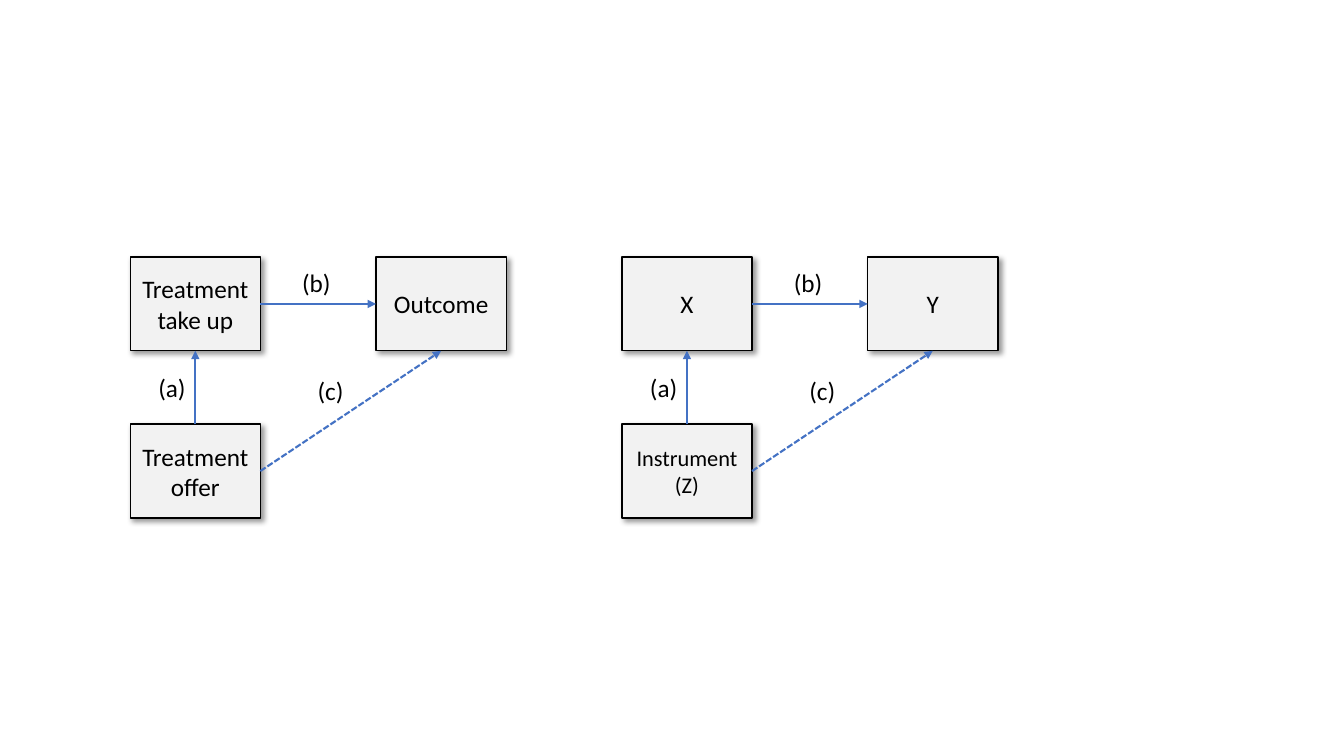
"""Draw two instrumental-variable path diagrams side by side."""
from dataclasses import dataclass

from lxml.etree import SubElement
from pptx import Presentation
from pptx.dml.color import RGBColor as RGB
from pptx.enum.dml import MSO_LINE
from pptx.enum.shapes import MSO_CONNECTOR as CONN, MSO_SHAPE as SHAPE
from pptx.enum.text import MSO_ANCHOR as ANCHOR, MSO_AUTO_SIZE as FIT, PP_ALIGN as ALIGN
from pptx.oxml.ns import qn
from pptx.util import Pt


@dataclass(frozen=True)
class Theme:
    font: str = "Calibri"
    ink: RGB = RGB(0x00, 0x00, 0x00)
    box: RGB = RGB(0xF2, 0xF2, 0xF2)
    arrow: RGB = RGB(0x44, 0x72, 0xC4)
    size: int = 18
    small: int = 16


def add_text(sp, text, size, align):
    tf = sp.text_frame
    tf.word_wrap = True
    p = tf.paragraphs[0]
    p.alignment = align
    r = p.add_run()
    r.text = text
    r.font.name, r.font.size = theme.font, Pt(size)
    r.font.color.rgb = theme.ink
    return tf


def add_shadow(sp):
    sp.shadow.inherit = False
    effects = sp.element.spPr.find(qn("a:effectLst"))
    shadow = SubElement(effects, qn("a:outerShdw"), blurRad=str(Pt(4)), dist=str(Pt(3)),
                        dir="2700000", algn="tl", rotWithShape="0")
    color = SubElement(shadow, qn("a:srgbClr"), val=str(theme.ink))
    SubElement(color, qn("a:alpha"), val="40000")


theme = Theme()
prs = Presentation()
prs.slide_width, prs.slide_height = Pt(960), Pt(540)
s = prs.slides.add_slide(prs.slide_layouts[6])

BOX_W, BOX_H = 93, 67
COL_STEP, ROW_STEP = 175.6, 119.4
LEFT, TOP, PANEL_STEP = 93, 183.6, 351.2
TOP_SITE, LEFT_SITE, BOTTOM_SITE, RIGHT_SITE = range(4)

cells = {"outcome": (1, 0), "treatment": (0, 0), "instrument": (0, 1)}
arrows = [
    ("instrument", TOP_SITE, "treatment", BOTTOM_SITE, False),
    ("treatment", RIGHT_SITE, "outcome", LEFT_SITE, False),
    ("instrument", RIGHT_SITE, "outcome", BOTTOM_SITE, True),
]
labels = [("(a)", 13, 78.6), ("(b)", 115.7, 3.6), ("(c)", 126.8, 81.2)]
panels = [
    {"outcome": ("Outcome", theme.size), "treatment": ("Treatment take up", theme.size),
     "instrument": ("Treatment offer", theme.size)},
    {"outcome": ("Y", theme.size), "treatment": ("X", theme.size),
     "instrument": ("Instrument (Z)", theme.small)},
]

for i, panel in enumerate(panels):
    x0 = LEFT + i * PANEL_STEP
    boxes = {}
    for role, (col, row) in cells.items():
        sp = s.shapes.add_shape(SHAPE.RECTANGLE, Pt(x0 + col * COL_STEP),
                                Pt(TOP + row * ROW_STEP), Pt(BOX_W), Pt(BOX_H))
        sp.fill.solid()
        sp.fill.fore_color.rgb = theme.box
        sp.line.color.rgb = theme.ink
        sp.line.width = Pt(1)
        add_shadow(sp)
        text, size = panel[role]
        add_text(sp, text, size, ALIGN.CENTER).vertical_anchor = ANCHOR.MIDDLE
        boxes[role] = sp

    for start, start_site, end, end_site, dashed in arrows:
        cx = s.shapes.add_connector(CONN.STRAIGHT, 0, 0, 0, 0)
        cx.begin_connect(boxes[start], start_site)
        cx.end_connect(boxes[end], end_site)
        cx.line.color.rgb = theme.arrow
        cx.line.width = Pt(1.5)
        if dashed:
            cx.line.dash_style = MSO_LINE.SQUARE_DOT
        spPr = cx.element.spPr
        SubElement(spPr.find(qn("a:ln")), qn("a:tailEnd"), type="triangle")
        SubElement(spPr, qn("a:effectLst"))

    for text, dx, dy in labels:
        tb = s.shapes.add_textbox(Pt(x0 + dx), Pt(TOP + dy), Pt(49), Pt(29))
        add_text(tb, text, theme.size, ALIGN.LEFT).auto_size = FIT.SHAPE_TO_FIT_TEXT

prs.save("out.pptx")
